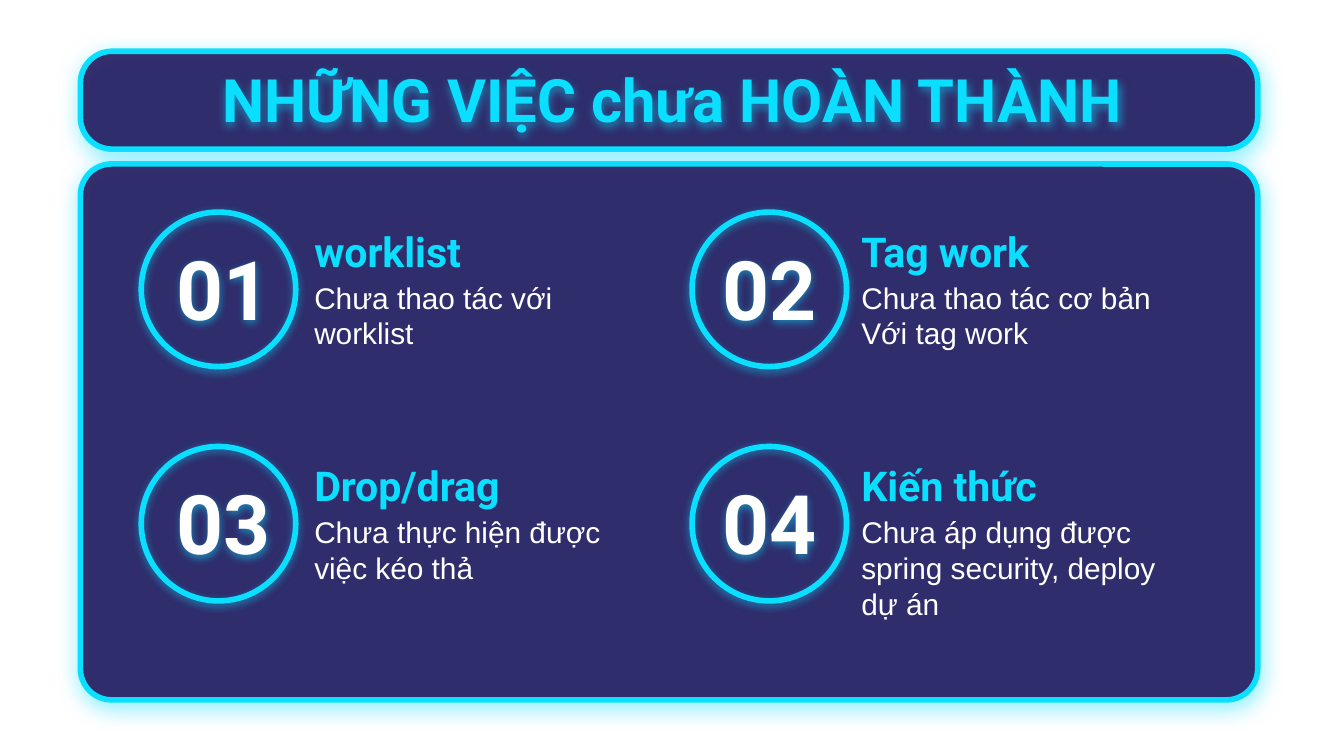
from dataclasses import dataclass

from lxml.etree import SubElement
from pptx import Presentation
from pptx.dml.color import RGBColor
from pptx.enum.shapes import MSO_SHAPE
from pptx.enum.text import MSO_ANCHOR, PP_ALIGN
from pptx.oxml.ns import qn
from pptx.util import Cm, Pt


@dataclass(frozen=True)
class Theme:
    cyan: str = "0ADFFF"
    navy: str = "18004A"
    white: str = "FFFFFF"
    heading_font: str = "Roboto"
    body_font: str = "Arial"
    title_size: int = 32
    number_size: int = 44
    heading_size: int = 22
    body_size: int = 16
    line_width: int = 3
    panel_alpha: int = 81


class SlideBuilder:
    def __init__(self, slide, theme):
        self.s = slide
        self.theme = theme

    def set_alpha(self, color, percent):
        SubElement(color, qn("a:alpha"), val=str(percent * 1000))

    def glow(self, sp, alpha=50, blur=4.5, dist=1.5, angle=90):
        sp.shadow.inherit = False
        effects = sp.element.spPr.find(qn("a:effectLst"))
        shadow = SubElement(
            effects, qn("a:outerShdw"), blurRad=str(Pt(blur)), dist=str(Pt(dist)),
            dir=str(angle * 60000), algn="bl", rotWithShape="0")
        color = SubElement(shadow, qn("a:srgbClr"), val=self.theme.cyan)
        self.set_alpha(color, alpha)

    def outline(self, kind, left, top, width, height):
        sp = self.s.shapes.add_shape(kind, Cm(left), Cm(top), Cm(width), Cm(height))
        sp.line.color.rgb = RGBColor.from_string(self.theme.cyan)
        sp.line.width = Pt(self.theme.line_width)
        return sp

    def panel(self, top, height, radius):
        sp = self.outline(MSO_SHAPE.ROUNDED_RECTANGLE, 1.52, top, 22.25, height)
        sp.adjustments[0] = radius / height
        sp.fill.solid()
        sp.fill.fore_color.rgb = RGBColor.from_string(self.theme.navy)
        color = sp.element.spPr.find(qn("a:solidFill")).find(qn("a:srgbClr"))
        self.set_alpha(color, self.theme.panel_alpha)
        self.glow(sp, alpha=52, blur=11.2, dist=3, angle=80)

    def circle(self, left, top, size):
        sp = self.outline(MSO_SHAPE.OVAL, left, top, size, size)
        sp.fill.background()
        self.glow(sp)

    def text(self, lines, left, top, width, height, size, color, font=None,
             bold=True, align=PP_ALIGN.LEFT, anchor=MSO_ANCHOR.TOP):
        sp = self.s.shapes.add_textbox(Cm(left), Cm(top), Cm(width), Cm(height))
        tf = sp.text_frame
        tf.word_wrap = True
        tf.vertical_anchor = anchor
        tf.margin_left = tf.margin_right = tf.margin_top = tf.margin_bottom = Cm(0.25)
        tf.text = lines
        for p in tf.paragraphs:
            p.alignment = align
            p.font.name = font or self.theme.heading_font
            p.font.size = Pt(size)
            p.font.bold = bold
            p.font.color.rgb = RGBColor.from_string(color)
        return sp

    def title(self, words):
        sp = self.text(words, 2.01, 0.94, 21.41, 1.6, self.theme.title_size,
                       self.theme.cyan, align=PP_ALIGN.CENTER)
        self.glow(sp)

    def item(self, number, heading, body, circle_left, number_left, text_left, top):
        t = self.theme
        self.circle(circle_left, top, 2.92)
        sp = self.text(number, number_left, top + 0.52, 2.92, 2.08, t.number_size,
                       t.white, align=PP_ALIGN.CENTER, anchor=MSO_ANCHOR.BOTTOM)
        self.glow(sp)
        self.text(body, text_left, top + 1.02, 6.73, 1.88, t.body_size, t.white,
                  font=t.body_font, bold=False)
        self.text(heading, text_left, top + 0.02, 6.73, 1.5, t.heading_size, t.cyan)


ITEMS = [
    ("worklist", "Chưa thao tác với worklist"),
    ("Tag work", "Chưa thao tác cơ bản\nVới tag work"),
    ("Drop/drag", "Chưa thực hiện được việc kéo thả"),
    ("Kiến thức", "Chưa áp dụng được spring security, deploy dự án"),
]
COLUMNS = [(2.67, 2.77, 5.69), (13.08, 13.08, 16.03)]
FIRST_ROW, ROW_STEP = 4.01, 4.43


def main():
    prs = Presentation()
    prs.slide_width, prs.slide_height = Cm(25.4), Cm(14.29)
    builder = SlideBuilder(prs.slides.add_slide(prs.slide_layouts[6]), Theme())
    builder.panel(0.97, 1.85, 0.6)
    builder.panel(3.1, 10.13, 0.59)
    builder.title("NHỮNG VIỆC chưa HOÀN THÀNH")
    for i, (heading, body) in enumerate(ITEMS):
        row, column = divmod(i, len(COLUMNS))
        builder.item(f"{i + 1:02}", heading, body, *COLUMNS[column],
                     FIRST_ROW + row * ROW_STEP)
    prs.save("out.pptx")


if __name__ == "__main__":
    main()
